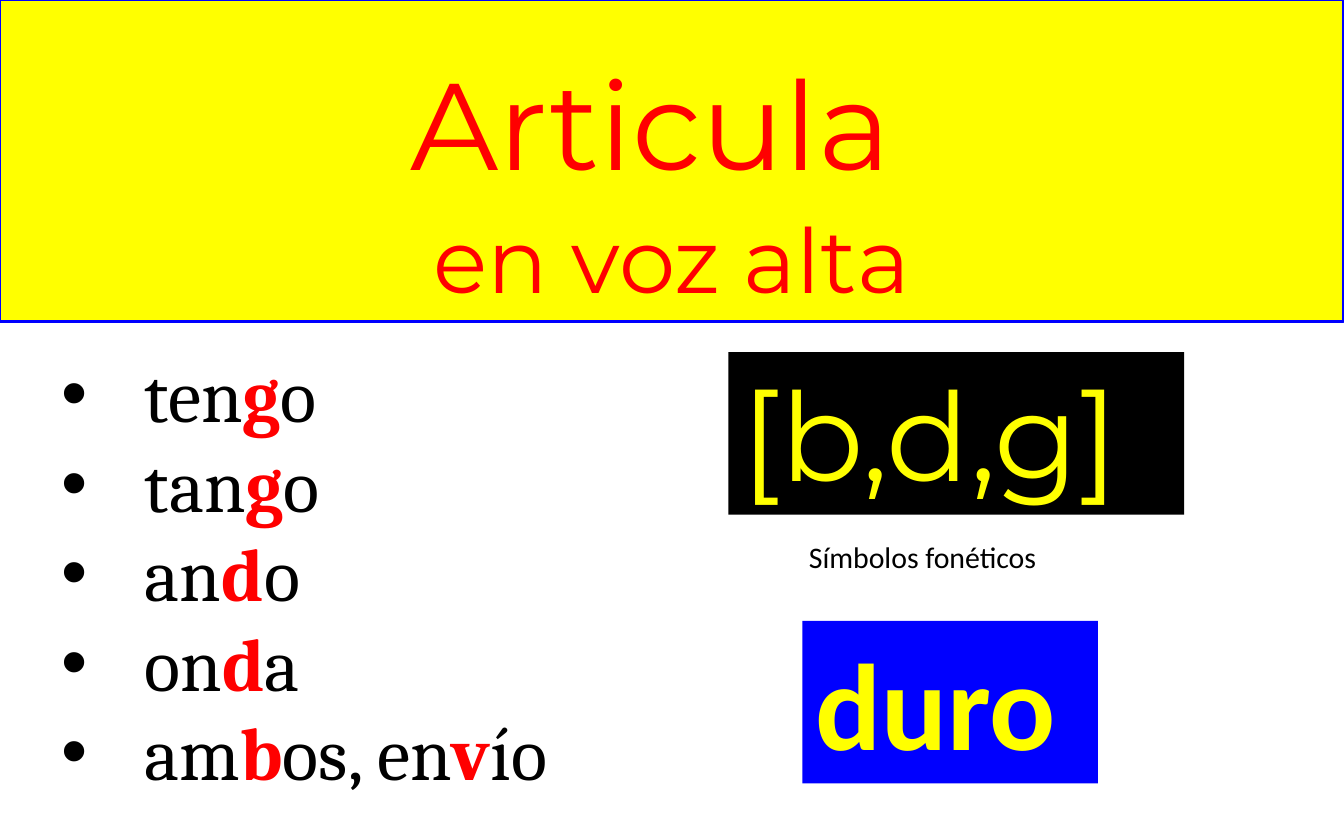
"""Build a pronunciation slide with a title band, a word list and two sound cards."""
from lxml import etree
from pptx import Presentation
from pptx.dml.color import RGBColor
from pptx.enum.shapes import MSO_SHAPE
from pptx.enum.text import MSO_ANCHOR, MSO_AUTO_SIZE, PP_ALIGN
from pptx.oxml.ns import qn
from pptx.util import Inches, Pt

RECT = MSO_SHAPE.RECTANGLE
TOP = MSO_ANCHOR.TOP
GROW = MSO_AUTO_SIZE.SHAPE_TO_FIT_TEXT
LEFT, MID = PP_ALIGN.LEFT, PP_ALIGN.CENTER

RED = RGBColor(255, 0, 0)
YELLOW = RGBColor(255, 255, 0)
BLUE = RGBColor(0, 0, 255)
BLACK = RGBColor(0, 0, 0)

WIDE, HIGH = 10, 6.25
INDENT = 0.62

HEAD = {"name": "Montserrat", "size": Pt(66), "color": RED}
GAP = {**HEAD, "size": Pt(88)}
SUB = {**HEAD, "size": Pt(48)}
SOUND = {**HEAD, "color": YELLOW}
HARD = {**SOUND, "name": "Calibri", "bold": True}
NOTE = {"name": "Calibri", "size": Pt(16), "color": BLACK}
WORD = {"name": "Cambria", "size": Pt(40), "color": BLACK, "bold": False}
KEY = {**WORD, "color": RED, "bold": True}

WORDS = ["ten|g|o", "tan|g|o", "an|d|o", "on|d|a", "am|b|os, en|v|ío"]
LIST = [[(part, KEY if i % 2 else WORD) for i, part in enumerate(word.split("|"))]
        for word in WORDS]
TITLE = [[("Articula", HEAD), (" ", GAP)], [("en voz alta", SUB)]]

ITEMS = [
    {"box": (0, 0, 1, 0.3824), "text": TITLE, "fill": YELLOW, "line": BLUE, "align": MID},
    {"box": (0.036, 0.4064, 0.414, 0.5552), "text": LIST, "bullet": "•"},
    {"box": (0.542, 0.4192, 0.339, 0.1936), "text": [[("[b,d,g]", SOUND)]], "fill": BLACK},
    {"box": (0.597, 0.7392, 0.22, 0.1936), "text": [[("duro", HARD)]], "fill": BLUE},
    {"box": (0.592, 0.6336, 0.279, 0.08), "text": [[("Símbolos fonéticos", NOTE)]]},
]


def style(font, look):
    for key, value in look.items():
        if key == "color":
            font.color.rgb = value
        else:
            setattr(font, key, value)


def mark(para, sign):
    props = para._p.get_or_add_pPr()
    props.set("marL", str(Inches(INDENT)))
    props.set("indent", str(-Inches(INDENT)))
    etree.SubElement(props, qn("a:buFont")).set("typeface", "Arial")
    etree.SubElement(props, qn("a:buChar")).set("char", sign)


def write(frame, item):
    for key, value in {"word_wrap": True, "auto_size": GROW, "vertical_anchor": TOP}.items():
        setattr(frame, key, value)
    for i, parts in enumerate(item["text"]):
        para = frame.add_paragraph() if i else frame.paragraphs[0]
        para.alignment = item.get("align", LEFT)
        if "bullet" in item:
            mark(para, item["bullet"])
        for text, look in parts:
            run = para.add_run()
            run.text = text
            style(run.font, look)


def draw(slide, item):
    box = [Inches(share * side) for share, side in zip(item["box"], (WIDE, HIGH) * 2)]
    if "fill" in item:
        shape = slide.shapes.add_shape(RECT, *box)
        shape.shadow.inherit = False
        shape.fill.solid()
        shape.fill.fore_color.rgb = item["fill"]
        if "line" in item:
            shape.line.color.rgb = item["line"]
            shape.line.width = Pt(1.5)
        else:
            shape.line.fill.background()
    else:
        shape = slide.shapes.add_textbox(*box)
    write(shape.text_frame, item)


def main():
    deck = Presentation()
    deck.slide_width, deck.slide_height = Inches(WIDE), Inches(HIGH)
    slide = deck.slides.add_slide(deck.slide_layouts[6])
    for item in ITEMS:
        draw(slide, item)
    deck.save("out.pptx")


if __name__ == "__main__":
    main()
